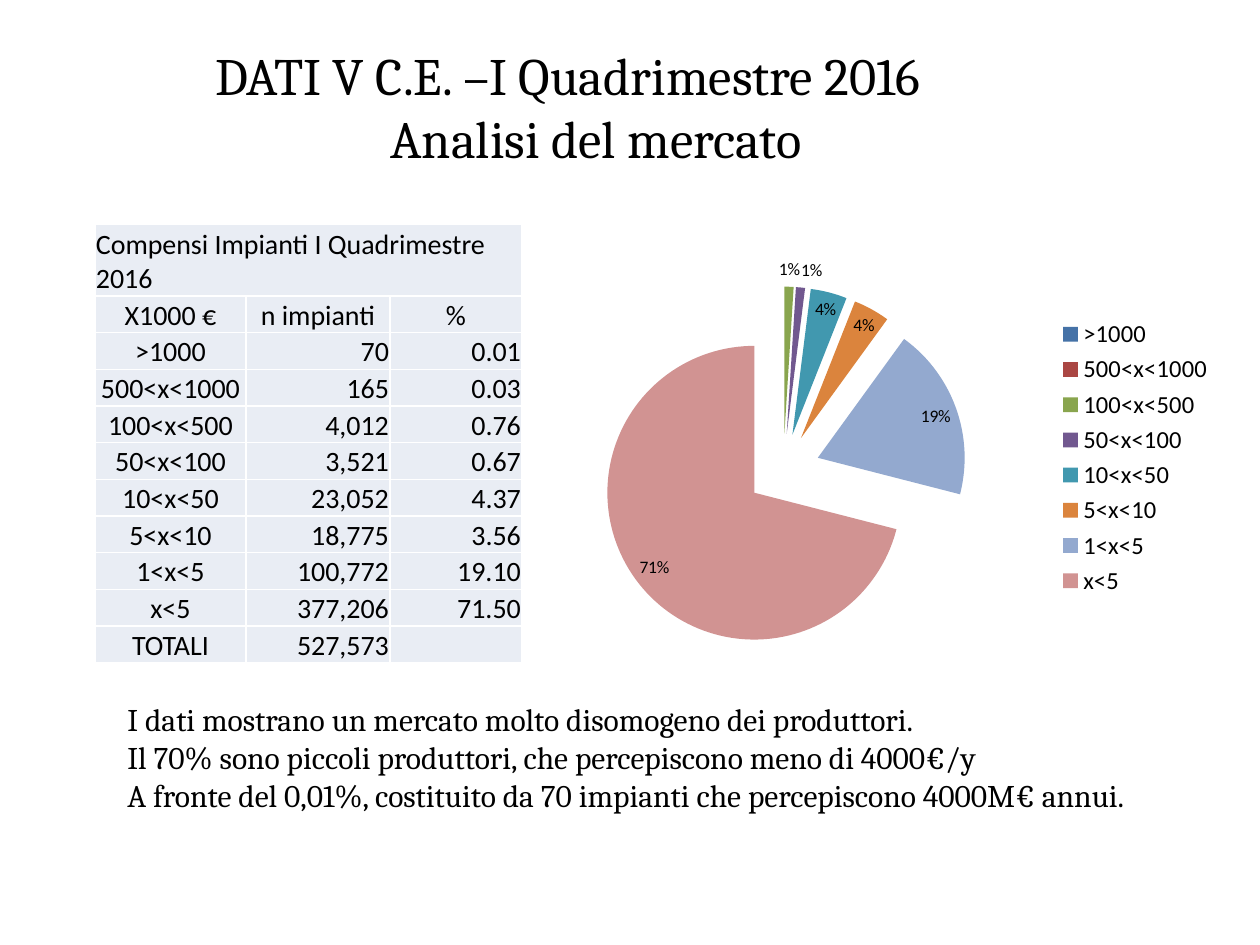
from lxml import etree
from pptx import Presentation
from pptx.chart.data import CategoryChartData
from pptx.dml.color import RGBColor
from pptx.enum.chart import XL_CHART_TYPE as Chart, XL_LABEL_POSITION as LabelPos, \
    XL_LEGEND_POSITION as LegendPos
from pptx.enum.text import MSO_ANCHOR as Anchor, MSO_AUTO_SIZE as AutoSize, PP_ALIGN as Align
from pptx.oxml import parse_xml
from pptx.oxml.ns import nsdecls, qn
from pptx.util import Pt

COLORS = {"text": "000000", "cell": "E9EDF4", "border": "FFFFFF"}
SLICES = {  # category: (percent, colour)
    ">1000": (0, "4572A7"),
    "500<x<1000": (0, "AA4643"),
    "100<x<500": (1, "89A54E"),
    "50<x<100": (1, "71588F"),
    "10<x<50": (4, "4198AF"),
    "5<x<10": (4, "DB843D"),
    "1<x<5": (19, "93A9CF"),
    "x<5": (71, "D19392"),
}
HEADING = "Compensi Impianti I Quadrimestre 2016"
ROWS = [
    ("X1000 €", "n impianti", "%"),
    (">1000", "70", "0.01"),
    ("500<x<1000", "165", "0.03"),
    ("100<x<500", "4,012", "0.76"),
    ("50<x<100", "3,521", "0.67"),
    ("10<x<50", "23,052", "4.37"),
    ("5<x<10", "18,775", "3.56"),
    ("1<x<5", "100,772", "19.10"),
    ("x<5", "377,206", "71.50"),
    ("TOTALI", "527,573", ""),
]
TITLE = [("DATI V C.E. –I Quadrimestre 2016", Align.LEFT),
         ("Analisi del mercato ", Align.CENTER)]
NOTES = [(line, Align.JUSTIFY) for line in (
    "I dati mostrano un mercato molto disomogeno dei produttori.",
    "Il 70% sono piccoli produttori, che percepiscono meno di 4000€/y",
    "A fronte del 0,01%, costituito da 70 impianti che percepiscono 4000M€ annui.")]


def px(n):
    return round(n * 914400 / 126)


def place(box):
    return [px(n) for n in box]


def set_font(font, name, size):
    for key, value in {"name": name, "size": Pt(size), "bold": False}.items():
        setattr(font, key, value)
    font.color.rgb = RGBColor.from_string(COLORS["text"])


def add_text(slide, box, lines, size):
    tf = slide.shapes.add_textbox(*place(box)).text_frame
    tf.word_wrap = True
    tf.auto_size = AutoSize.SHAPE_TO_FIT_TEXT
    for i, (text, align) in enumerate(lines):
        p = tf.add_paragraph() if i else tf.paragraphs[0]
        p.alignment = align
        r = p.add_run()
        r.text = text
        set_font(r.font, "Cambria", size)


def fill_cell(cell, text, align):
    margins = {"margin_left": px(1), "margin_right": px(1), "margin_top": px(1),
               "margin_bottom": 0, "vertical_anchor": Anchor.BOTTOM}
    for key, value in margins.items():
        setattr(cell, key, value)
    # White borders go before the fill
    tc_pr = cell._tc.get_or_add_tcPr()
    for side in "LRTB":
        tc_pr.append(parse_xml(
            f'<a:ln{side} {nsdecls("a")} w="12700"><a:solidFill>'
            f'<a:srgbClr val="{COLORS["border"]}"/></a:solidFill></a:ln{side}>'))
    cell.fill.solid()
    cell.fill.fore_color.rgb = RGBColor.from_string(COLORS["cell"])
    p = cell.text_frame.paragraphs[0]
    p.alignment = align
    set_font(p.font, "Calibri", 16)
    if text:
        r = p.add_run()
        r.text = text
        set_font(r.font, "Calibri", 16)


def add_fee_table(slide, box):
    table = slide.shapes.add_table(len(ROWS) + 1, 3, *place(box)).table
    table.first_row = table.horz_banding = False
    for col, width in zip(table.columns, (151, 144, 132)):
        col.width = px(width)
    heading_height = 72
    for i, row in enumerate(table.rows):
        row.height = px((box[3] - heading_height) / len(ROWS) if i else heading_height)

    # Heading across all columns
    table.cell(0, 0).merge(table.cell(0, 2))
    for c, text in enumerate((HEADING, "", "")):
        fill_cell(table.cell(0, c), text, Align.LEFT)
    # Column names and figures
    for r, row in enumerate(ROWS, start=1):
        for c, text in enumerate(row):
            fill_cell(table.cell(r, c), text, Align.RIGHT if r > 1 and c else Align.CENTER)


def add_market_pie(slide, box):
    data = CategoryChartData()
    data.categories = list(SLICES)
    data.add_series("Series 1", [value for value, _ in SLICES.values()])
    chart = slide.shapes.add_chart(Chart.PIE, *place(box), data).chart
    chart.has_title = False
    set_font(chart.font, "Calibri", 10)

    # Legend
    chart.has_legend = True
    chart.legend.position = LegendPos.RIGHT
    chart.legend.include_in_layout = False
    set_font(chart.legend.font, "Calibri", 14)

    # Exploded slices
    plot = chart.plots[0]
    plot.vary_by_categories = True
    series = plot.series[0]
    explosion = etree.Element(qn("c:explosion"), val="25")
    series._element.find(qn("c:tx")).addnext(explosion)
    for i, (_, color) in enumerate(SLICES.values()):
        fill = series.points[i].format.fill
        fill.solid()
        fill.fore_color.rgb = RGBColor.from_string(color)

    # Percent labels
    plot.has_data_labels = True
    labels = plot.data_labels
    for key, value in {"show_percentage": True, "show_value": False,
                       "number_format": "0%", "number_format_is_linked": False,
                       "position": LabelPos.BEST_FIT}.items():
        setattr(labels, key, value)
    set_font(labels.font, "Calibri", 10)

    # Pie area, as shares of the chart
    area = chart._chartSpace.chart.plotArea
    for old in area.findall(qn("c:layout")):
        area.remove(old)
    sizes = "".join(f'<c:{k} val="{v}"/>' for k, v in
                    {"x": 0.12, "y": 0.1, "w": 0.52, "h": 0.86}.items())
    area.insert(0, parse_xml(
        f'<c:layout {nsdecls("c")}><c:manualLayout><c:layoutTarget val="inner"/>'
        f'<c:xMode val="edge"/><c:yMode val="edge"/>{sizes}</c:manualLayout></c:layout>'))


def main():
    prs = Presentation()
    prs.slide_width, prs.slide_height = px(1260), px(945)
    slide = prs.slides.add_slide(prs.slide_layouts[6])
    add_market_pie(slide, (512, 244, 714, 427))
    add_fee_table(slide, (95, 224, 427, 439))
    add_text(slide, (115, 694, 1052, 165), NOTES, 18)
    add_text(slide, (203, 37, 798, 140), TITLE, 30)
    prs.save("out.pptx")


if __name__ == "__main__":
    main()
